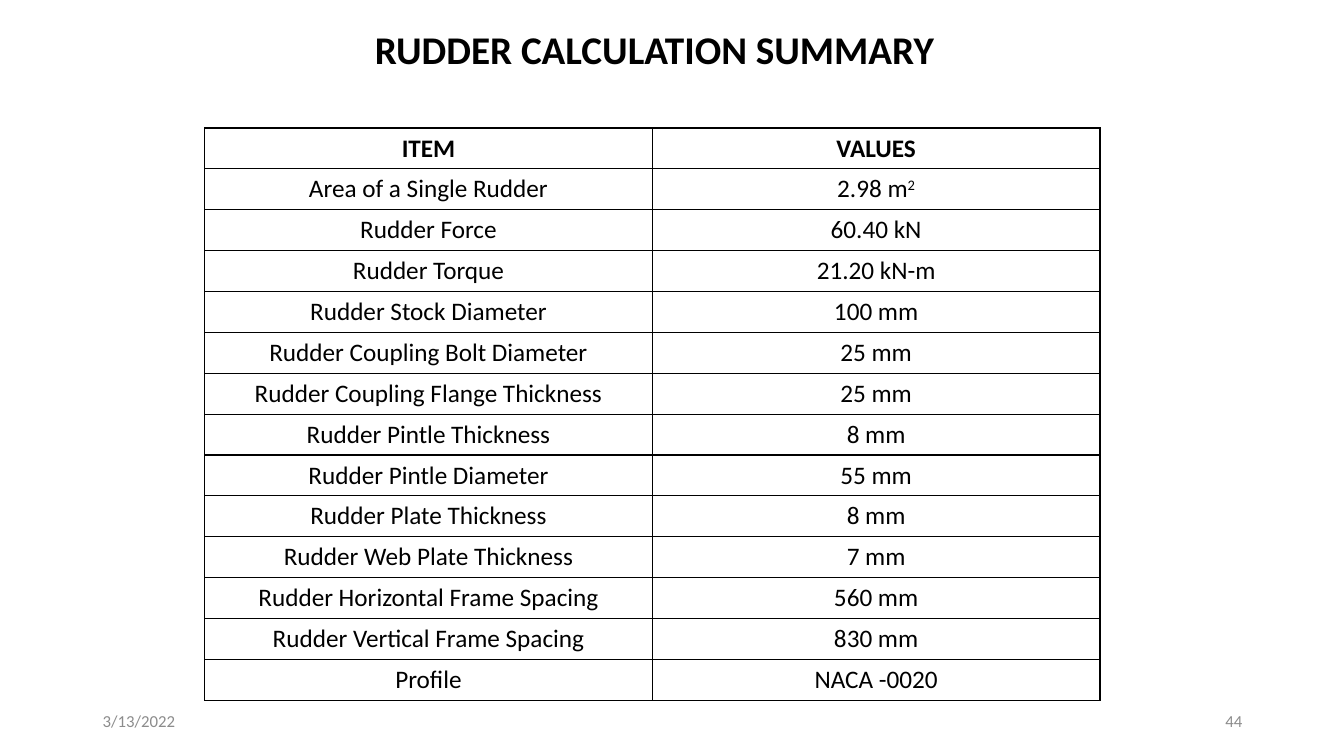
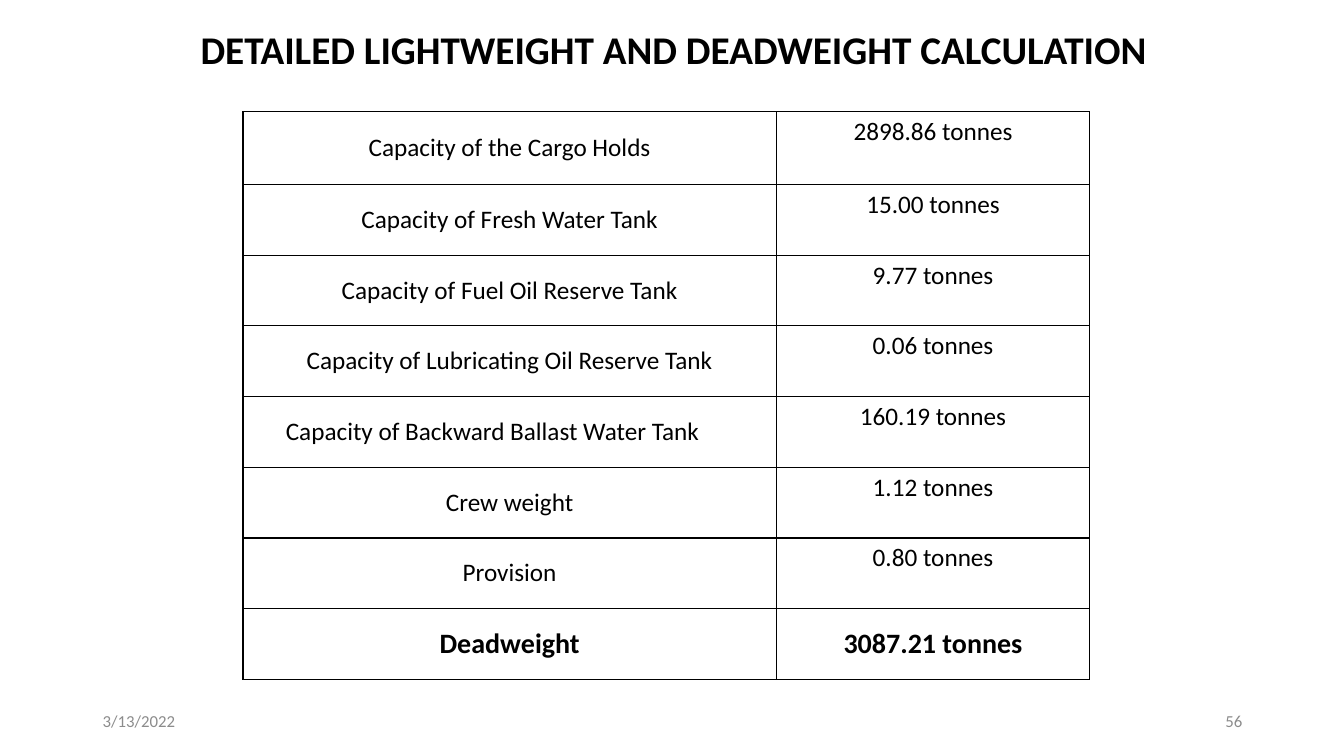
from dataclasses import dataclass

from lxml import etree
from pptx import Presentation
from pptx.dml.color import RGBColor
from pptx.enum.text import MSO_ANCHOR, PP_ALIGN
from pptx.oxml.ns import qn
from pptx.util import Emu, Pt

LEFT, CENTER, RIGHT = PP_ALIGN.LEFT, PP_ALIGN.CENTER, PP_ALIGN.RIGHT
TOP, MIDDLE = MSO_ANCHOR.TOP, MSO_ANCHOR.MIDDLE
EMU_PER_PX = 9144  # 100 px to the inch


@dataclass(frozen=True)
class Theme:
    font: str = "Calibri"
    ink: str = "000000"
    muted: str = "8C8C8C"
    title_size: int = 28
    body_size: int = 18
    total_size: int = 20
    footer_size: int = 12
    border_width: int = 1


THEME = Theme()

# Content
DATE = "3/13/2022"

RUDDER_ROWS = [
    ("ITEM", "VALUES"),
    ("Area of a Single Rudder", "2.98 m"),
    ("Rudder Force", "60.40 kN"),
    ("Rudder Torque", "21.20 kN-m"),
    ("Rudder Stock Diameter", "100 mm"),
    ("Rudder Coupling Bolt Diameter", "25 mm"),
    ("Rudder Coupling Flange Thickness", "25 mm"),
    ("Rudder Pintle Thickness", "8 mm"),
    ("Rudder Pintle Diameter", "55 mm"),
    ("Rudder Plate Thickness", "8 mm"),
    ("Rudder Web Plate Thickness", "7 mm"),
    ("Rudder Horizontal Frame Spacing", "560 mm"),
    ("Rudder Vertical Frame Spacing", "830 mm"),
    ("Profile", "NACA -0020"),
]

WEIGHT_ROWS = [
    ("Capacity of the Cargo Holds", "2898.86 tonnes"),
    ("Capacity of Fresh Water Tank", "15.00 tonnes"),
    ("Capacity of Fuel Oil Reserve Tank", "9.77 tonnes"),
    ("Capacity of Lubricating Oil Reserve Tank", "0.06 tonnes"),
    ("Capacity of Backward Ballast Water Tank", "160.19 tonnes"),
    ("Crew weight", "1.12 tonnes"),
    ("Provision", "0.80 tonnes"),
    ("Deadweight", "3087.21 tonnes"),
]

# Cell formats that differ from the table's own, by (row, column)
RUDDER_FORMATS = {
    (0, 0): {"bold": True},
    (0, 1): {"bold": True},
    (1, 1): {"superscript": "2"},
}
TOTAL_ROW = len(WEIGHT_ROWS) - 1
BALLAST_ROW = 4
WEIGHT_FORMATS = {(row, 1): {"anchor": TOP} for row in range(TOTAL_ROW)}
WEIGHT_FORMATS[BALLAST_ROW, 0] = {"margin_right": 44}
for total_column in range(2):
    WEIGHT_FORMATS[TOTAL_ROW, total_column] = {"size": THEME.total_size, "bold": True}

SLIDES = [
    {
        "title": "RUDDER CALCULATION SUMMARY", "title_left": 362, "page": "44",
        "rows": RUDDER_ROWS, "formats": RUDDER_FORMATS, "anchor": TOP,
        "origin": (203, 127), "widths": (444, 444), "height": 568, "first_extra": 0,
    },
    {
        "title": "DETAILED LIGHTWEIGHT AND DEADWEIGHT CALCULATION", "title_left": 189, "page": "56",
        "rows": WEIGHT_ROWS, "formats": WEIGHT_FORMATS, "anchor": MIDDLE,
        "origin": (241, 111), "widths": (529, 311), "height": 563, "first_extra": 2,
    },
]


def px(length):
    return Emu(length * EMU_PER_PX)


def write_text(holder, frame, text, *, size=THEME.body_size, color=THEME.ink, bold=False,
               align=LEFT, anchor=TOP, superscript="", margin_right=10):
    """Fill a text frame; holder is the text frame or cell that owns margins and anchor."""
    holder.vertical_anchor = anchor
    holder.margin_left, holder.margin_right = px(10), px(margin_right)
    holder.margin_top = holder.margin_bottom = px(5)
    frame.word_wrap = True
    paragraph = frame.paragraphs[0]
    paragraph.alignment = align
    for content, baseline in ((text, 0), (superscript, 30000)):
        if not content:
            continue
        run = paragraph.add_run()
        run.text = content
        run.font.name = THEME.font
        run.font.size = Pt(size)
        run.font.bold = bold
        run.font.color.rgb = RGBColor.from_string(color)
        if baseline:
            run.font._element.set("baseline", str(baseline))


def add_text(slide, left, top, width, height, text, **text_format):
    box = slide.shapes.add_textbox(px(left), px(top), px(width), px(height))
    write_text(box.text_frame, box.text_frame, text, **text_format)


def set_borders(cell):
    properties = cell._tc.get_or_add_tcPr()
    for index, side in enumerate(("lnL", "lnR", "lnT", "lnB")):
        line = etree.Element(qn(f"a:{side}"), w=str(Pt(THEME.border_width)))
        fill = etree.SubElement(line, qn("a:solidFill"))
        etree.SubElement(fill, qn("a:srgbClr"), val=THEME.ink)
        properties.insert(index, line)


def add_grid(slide, content):
    rows, widths, height = content["rows"], content["widths"], content["height"]
    left, top = content["origin"]
    table = slide.shapes.add_table(len(rows), len(widths), px(left), px(top),
                                   px(sum(widths)), px(height)).table
    table.first_row = table.horz_banding = False
    for column, width in zip(table.columns, widths):
        column.width = px(width)
    extra = px(content["first_extra"])
    row_height = (px(height) - extra) // len(rows)
    for row_index, values in enumerate(rows):
        table.rows[row_index].height = row_height + (extra if row_index == 0 else 0)
        for column_index, value in enumerate(values):
            cell = table.cell(row_index, column_index)
            cell.fill.background()
            set_borders(cell)
            cell_format = {"align": CENTER, "anchor": content["anchor"]}
            cell_format.update(content["formats"].get((row_index, column_index), {}))
            write_text(cell, cell.text_frame, value, **cell_format)


def add_footer(slide, page):
    for left, text, align in ((92, DATE, LEFT), (942, page, RIGHT)):
        add_text(slide, left, 695, 300, 40, text, size=THEME.footer_size,
                 color=THEME.muted, align=align, anchor=MIDDLE)


def main():
    presentation = Presentation()
    presentation.slide_width, presentation.slide_height = px(1333), px(750)
    blank_layout = presentation.slide_layouts[6]
    for content in SLIDES:
        slide = presentation.slides.add_slide(blank_layout)
        add_footer(slide, content["page"])
        add_grid(slide, content)
        add_text(slide, content["title_left"], 20, 1068, 57, content["title"],
                 size=THEME.title_size, bold=True)
    presentation.save("out.pptx")


if __name__ == "__main__":
    main()
